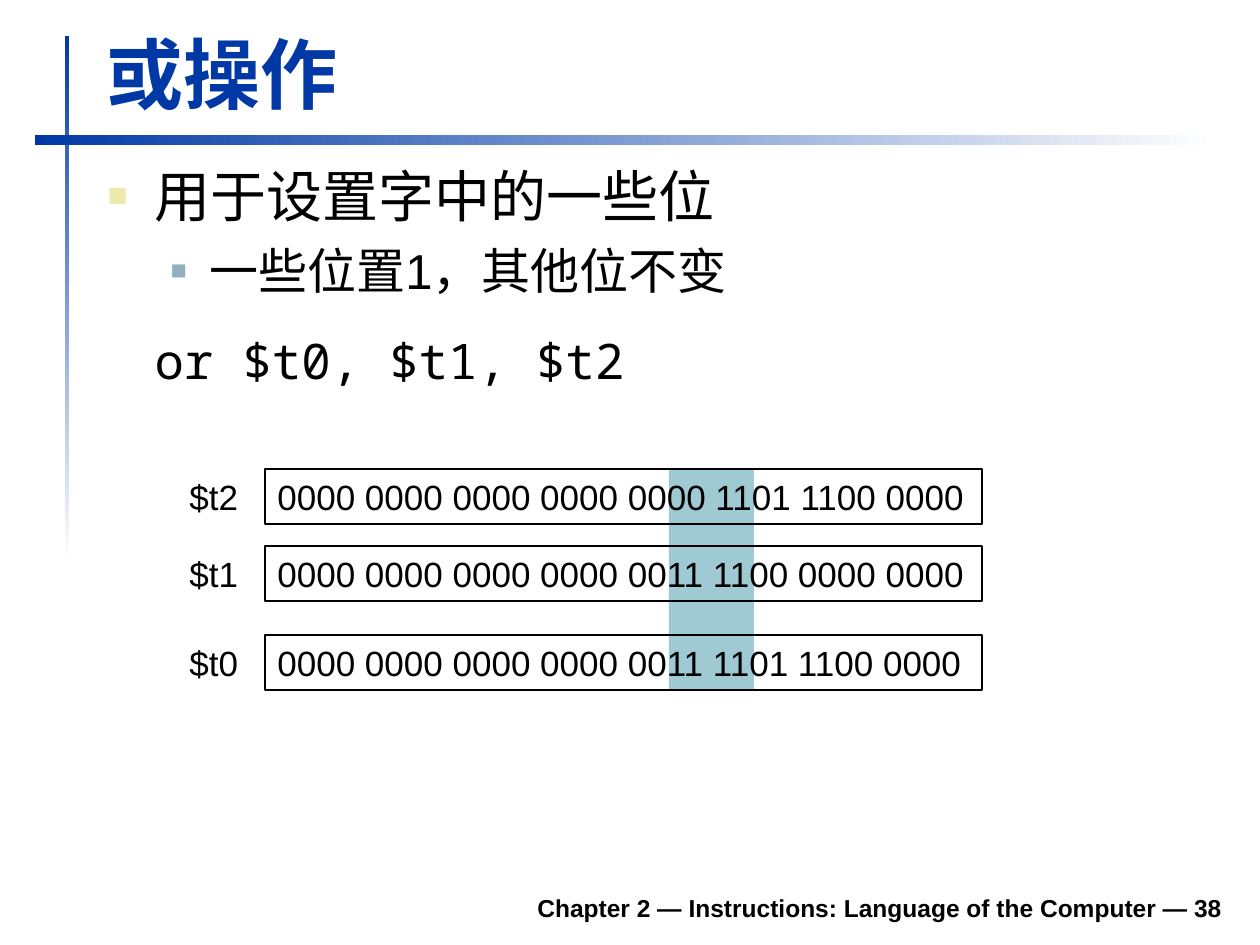
import dataclasses
import typing

import pptx
import pptx.dml.color
import pptx.enum.shapes
import pptx.enum.text
import pptx.oxml
import pptx.oxml.ns
import pptx.util

SCALE = 914400 / 126
HUES = {
    "blue": "0039A6",
    "white": "FFFFFF",
    "black": "000000",
    "band": "9FCAD3",
    "sand": "ECEAAC",
    "steel": "91AFBF",
}
RECT = pptx.enum.shapes.MSO_SHAPE.RECTANGLE
FIT = pptx.enum.text.MSO_AUTO_SIZE
ALIGN = pptx.enum.text.PP_ALIGN
ANCHOR = pptx.enum.text.MSO_ANCHOR


@dataclasses.dataclass
class Box:
    left: int
    top: int
    width: int
    height: int


@dataclasses.dataclass
class Word:
    name: str
    bits: str
    top: int


@dataclasses.dataclass
class Item:
    text: str
    level: int
    size: int
    font: str
    left: int
    hang: int
    before: float
    after: float = 0
    hue: str = ""
    ratio: int = 0


ITEMS = [
    Item("用于设置字中的一些位", 0, 32, "Arial", 47, 47, 0, hue="sand", ratio=60),
    Item("一些位置1，其他位不变", 1, 28, "Arial", 102, 39, 7, hue="steel", ratio=55),
    Item("or $t0, $t1, $t2", 0, 28, "Noto Sans Mono", 47, 0, 17.5, 10.5),
]
WORDS = [
    Word("$t2", "0000 0000 0000 0000 0000 1101 1100 0000", 469),
    Word("$t1", "0000 0000 0000 0000 0011 1100 0000 0000", 546),
    Word("$t0", "0000 0000 0000 0000 0011 1101 1100 0000", 635),
]


def px(size: int) -> int:
    return round(size * SCALE)


def tint(name: str) -> pptx.dml.color.RGBColor:
    return pptx.dml.color.RGBColor.from_string(HUES[name])


def place(shape: typing.Any, box: Box) -> None:
    shape.left, shape.top = px(box.left), px(box.top)
    shape.width, shape.height = px(box.width), px(box.height)


def style(para: typing.Any, size: int, hue: str = "black",
          bold: bool = False, font: str = "Arial") -> None:
    for run in para.runs:
        run.font.size = pptx.util.Pt(size)
        run.font.name = font
        run.font.bold = bold
        run.font.color.rgb = tint(hue)


def block(slide: typing.Any, box: Box) -> typing.Any:
    shape = slide.shapes.add_shape(RECT, 0, 0, 0, 0)
    place(shape, box)
    shape.shadow.inherit = False
    shape.line.fill.background()
    return shape


def fade(slide: typing.Any, box: Box, angle: int) -> None:
    fill = block(slide, box).fill
    fill.gradient()
    fill.gradient_angle = angle
    for stop, hue, spot in zip(fill.gradient_stops, ("blue", "white"), (0, 1)):
        stop.color.rgb = tint(hue)
        stop.position = spot


def label(shape: typing.Any, text: str) -> None:
    frame = shape.text_frame
    frame.text = text
    frame.word_wrap = False
    frame.auto_size = FIT.SHAPE_TO_FIT_TEXT
    frame.vertical_anchor = ANCHOR.TOP
    frame.paragraphs[0].alignment = ALIGN.LEFT
    style(frame.paragraphs[0], 20)


def bullet(para: typing.Any, item: Item) -> None:
    props = para._p.get_or_add_pPr()
    props.set("marL", str(px(item.left)))
    props.set("indent", str(-px(item.hang)))
    parts = ["<a:buNone {}/>"]
    if item.hue:
        parts = [
            f'<a:buClr {{}}><a:srgbClr val="{HUES[item.hue]}"/></a:buClr>',
            f'<a:buSzPct {{}} val="{item.ratio * 1000}"/>',
            '<a:buFont {} typeface="Arial"/>',
            '<a:buChar {} char="■"/>',
        ]
    for part in parts:
        props.append(pptx.oxml.parse_xml(part.format(pptx.oxml.ns.nsdecls("a"))))


def title(slide: typing.Any) -> None:
    head = slide.shapes.title
    place(head, Box(94, 20, 1138, 105))
    frame = head.text_frame
    frame.text = "或操作"
    frame.vertical_anchor = ANCHOR.BOTTOM
    frame.auto_size = FIT.NONE
    frame.paragraphs[0].alignment = ALIGN.LEFT
    style(frame.paragraphs[0], 44, "blue", True)


def body(slide: typing.Any) -> None:
    shape = slide.placeholders[1]
    place(shape, Box(95, 155, 1139, 286))
    frame = shape.text_frame
    frame.text = "\n".join(item.text for item in ITEMS)
    frame.auto_size = FIT.NONE
    for para, item in zip(frame.paragraphs, ITEMS):
        para.level = item.level
        para.space_before = pptx.util.Pt(item.before)
        para.space_after = pptx.util.Pt(item.after)
        bullet(para, item)
        style(para, item.size, font=item.font)


def row(slide: typing.Any, word: Word) -> None:
    cell = block(slide, Box(265, word.top, 717, 55))
    cell.fill.background()
    cell.line.color.rgb = tint("black")
    cell.line.width = pptx.util.Pt(0.75)
    label(cell, word.bits)
    name = slide.shapes.add_textbox(0, 0, 0, 0)
    place(name, Box(177, word.top, 78, 55))
    label(name, word.name)


def footer(slide: typing.Any) -> None:
    foot = slide.shapes.add_textbox(0, 0, 0, 0)
    place(foot, Box(233, 880, 1002, 49))
    frame = foot.text_frame
    frame.text = "Chapter 2 — Instructions: Language of the Computer — 38"
    frame.word_wrap = True
    frame.vertical_anchor = ANCHOR.BOTTOM
    frame.paragraphs[0].alignment = ALIGN.RIGHT
    style(frame.paragraphs[0], 14, bold=True)


def main() -> None:
    deck = pptx.Presentation()
    deck.slide_width, deck.slide_height = px(1260), px(945)
    slide = deck.slides.add_slide(deck.slide_layouts[1])
    fade(slide, Box(65, 36, 4, 525), 270)
    fade(slide, Box(35, 135, 1180, 10), 0)
    footer(slide)
    band = block(slide, Box(669, 470, 85, 221))
    band.fill.solid()
    band.fill.fore_color.rgb = tint("band")
    title(slide)
    body(slide)
    for word in WORDS:
        row(slide, word)
    deck.save("out.pptx")


if __name__ == "__main__":
    main()
